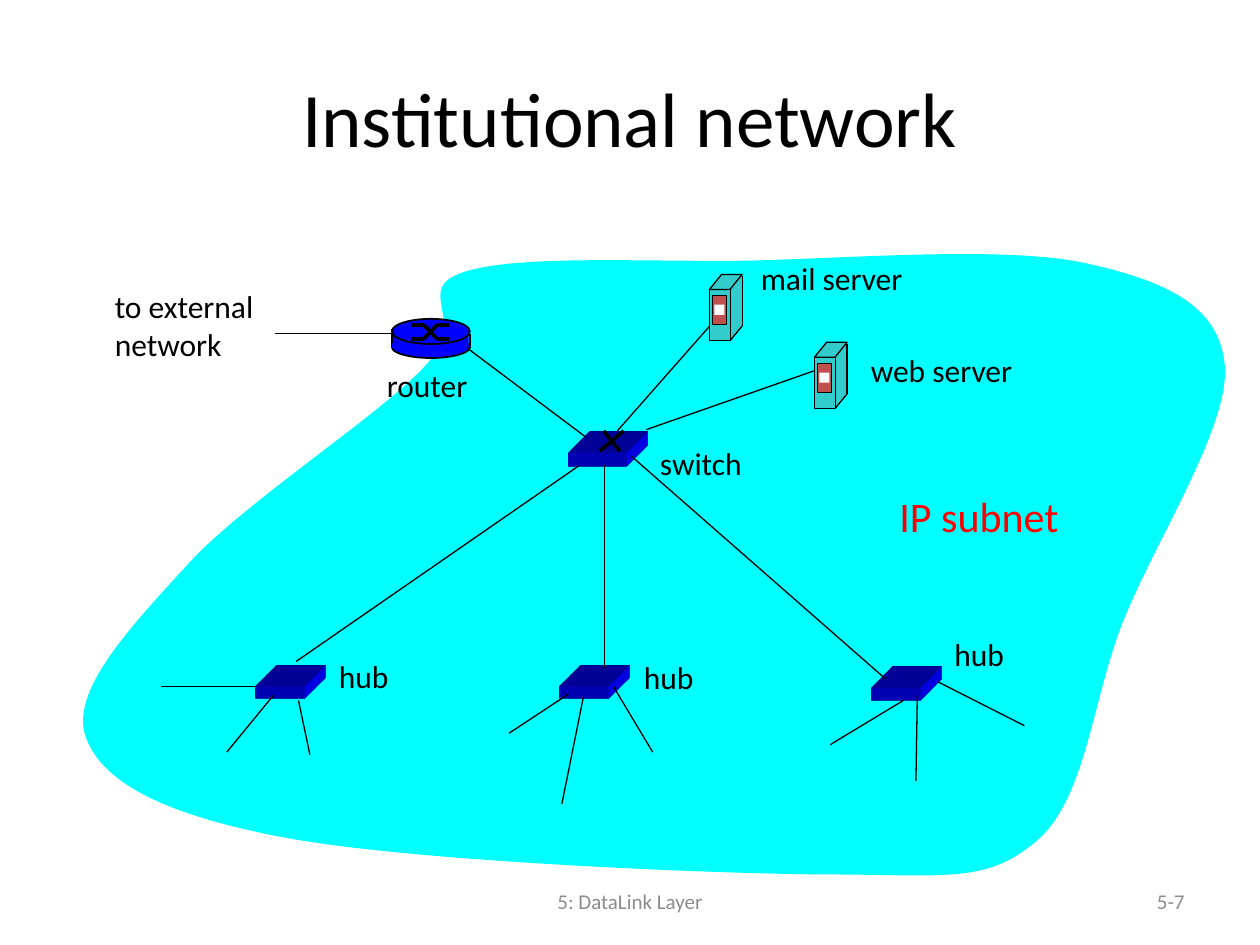
from dataclasses import dataclass
from typing import NamedTuple

from lxml.etree import SubElement
from pptx import Presentation
from pptx.dml.color import RGBColor
from pptx.enum.shapes import MSO_CONNECTOR, MSO_SHAPE
from pptx.enum.text import MSO_ANCHOR, PP_ALIGN
from pptx.oxml.ns import qn
from pptx.util import Pt


@dataclass(frozen=True)
class Theme:
    font: str = "Calibri"
    black: str = "000000"
    white: str = "FFFFFF"
    gray: str = "8C8C8C"
    red: str = "FF0000"
    subnet: str = "00FFFF"
    device: str = "0000FF"
    server: str = "33CCCC"
    panel: str = "C0504D"
    title_size: float = 44
    subnet_size: float = 24
    label_size: float = 18
    footer_size: float = 12
    thin: float = 0.75
    outline: float = 1
    switch_mark: float = 2
    router_mark: float = 2.25


THEME = Theme()


class Label(NamedTuple):
    text: str
    left: float
    top: float
    width: float
    height: float = 28.8
    size: float = THEME.label_size
    color: str = THEME.black
    align: PP_ALIGN = PP_ALIGN.LEFT
    anchor: MSO_ANCHOR = MSO_ANCHOR.TOP


class Line(NamedTuple):
    x1: float
    y1: float
    x2: float
    y2: float


class Box(NamedTuple):
    left: float
    top: float
    width: float
    height: float


def paint(shape, fill: str, line_width: float = 0) -> None:
    shape.shadow.inherit = False
    shape.fill.solid()
    shape.fill.fore_color.rgb = RGBColor.from_string(fill)
    if line_width:
        shape.line.color.rgb = RGBColor.from_string(THEME.black)
        shape.line.width = Pt(line_width)
    else:
        shape.line.fill.background()


def add_preset(slide, kind, box: Box, fill: str, line_width: float = 0):
    shape = slide.shapes.add_shape(kind, *(Pt(value) for value in box))
    paint(shape, fill, line_width)
    return shape


def add_line(slide, line: Line, width: float = THEME.thin) -> None:
    connector = slide.shapes.add_connector(MSO_CONNECTOR.STRAIGHT, *(Pt(value) for value in line))
    connector.line.color.rgb = RGBColor.from_string(THEME.black)
    connector.line.width = Pt(width)
    SubElement(connector._element.spPr, qn("a:effectLst"))


def add_label(slide, label: Label) -> None:
    shape = slide.shapes.add_textbox(Pt(label.left), Pt(label.top), Pt(label.width), Pt(label.height))
    frame = shape.text_frame
    frame.word_wrap = True
    frame.vertical_anchor = label.anchor
    frame.text = label.text
    for paragraph in frame.paragraphs:
        paragraph.alignment = label.align
        paragraph.font.name = THEME.font
        paragraph.font.size = Pt(label.size)
        paragraph.font.color.rgb = RGBColor.from_string(label.color)


def add_subnet(slide, start: tuple, curves: list) -> None:
    """Join the curve ends by segments, then turn each segment into a Bézier curve."""
    builder = slide.shapes.build_freeform(Pt(start[0]), Pt(start[1]), scale=1.0)
    builder.add_line_segments([(Pt(curve[4]), Pt(curve[5])) for curve in curves], close=True)
    shape = builder.convert_to_shape()
    paint(shape, THEME.subnet)
    for segment, curve in zip(list(shape._element.iter(qn("a:lnTo"))), curves):
        segment.tag = qn("a:cubicBezTo")
        segment.clear()
        for x, y in zip(curve[::2], curve[1::2]):
            SubElement(segment, qn("a:pt"), x=str(Pt(x) - shape.left), y=str(Pt(y) - shape.top))


def add_raised_box(slide, front: Box) -> None:
    """Draw a flat front extruded towards the upper right."""
    properties = add_preset(slide, MSO_SHAPE.RECTANGLE, front, THEME.device)._element.spPr
    scene = SubElement(properties, qn("a:scene3d"))
    SubElement(scene, qn("a:camera"), prst="legacyObliqueTopRight")
    SubElement(scene, qn("a:lightRig"), rig="legacyFlat3", dir="b")
    solid = SubElement(properties, qn("a:sp3d"), extrusionH="430200", prstMaterial="legacyMatte")
    for bevel in ("a:bevelT", "a:bevelB"):
        SubElement(solid, qn(bevel), w="13500", h="13500", prst="angle")
    color = SubElement(solid, qn("a:extrusionClr"))
    SubElement(color, qn("a:srgbClr"), val=THEME.device)


def add_server(slide, x: float, y: float) -> None:
    slanted, rectangle = MSO_SHAPE.PARALLELOGRAM, MSO_SHAPE.RECTANGLE
    parts = [
        (slanted, Box(0, 29.5, 18.7, 8.4), THEME.server, 0),
        (rectangle, Box(9.5, 0, 9, 29.5), THEME.server, 0),
        (rectangle, Box(0.2, 8.6, 11.8, 29.2), THEME.server, THEME.thin),
        (slanted, Box(0, 0, 18.7, 8.6), THEME.server, THEME.thin),
        (rectangle, Box(1.7, 12.2, 8, 16.4), THEME.panel, THEME.thin),
        (rectangle, Box(2.8, 17.3, 5.8, 5.8), THEME.white, 0),
    ]
    for kind, box, fill, line_width in parts:
        moved = box._replace(left=x + box.left, top=y + box.top)
        shape = add_preset(slide, kind, moved, fill, line_width)
        if kind == slanted:
            shape.adjustments[0] = 0.81
    add_line(slide, Line(x + 18.7, y + 0.7, x + 18.7, y + 29.5))
    add_line(slide, Line(x + 18.7, y + 29.5, x + 12, y + 37.6))


def add_router(slide, x: float, y: float) -> None:
    width = 44.6
    add_preset(slide, MSO_SHAPE.OVAL, Box(x, y + 10, width, 12.4), THEME.device, THEME.outline)
    for side in (x, x + width):
        add_line(slide, Line(side, y + 8.6, side, y + 16.6), THEME.outline)
    add_preset(slide, MSO_SHAPE.RECTANGLE, Box(x, y + 8.6, 44, 8), THEME.device)
    add_preset(slide, MSO_SHAPE.OVAL, Box(x, y, width, 14.4), THEME.device, THEME.outline)
    # Crossed arms on the lid
    upper, lower = y + 3.3, y + 11.5
    for start, end in ((upper, lower), (lower, upper)):
        add_line(slide, Line(x + 10.8, start, x + 18.4, start), THEME.router_mark)
        add_line(slide, Line(x + 18.2, start, x + 26, end), THEME.router_mark)
        add_line(slide, Line(x + 26, end, x + 32.6, end), THEME.router_mark)
    add_line(slide, Line(x, y + 5.8, x, y + 13.7), THEME.outline)


SUBNET_START = (699.8, 208.1)
SUBNET_CURVES = [
    (696.2, 174.2, 666, 160.6, 620.6, 150.5),
    (575.3, 140.4, 486, 147.6, 427, 149),
    (367.9, 149.8, 295.9, 145.4, 265, 155.5),
    (234.7, 165.6, 269.3, 181.4, 242.6, 209.5),
    (216.7, 237.6, 138.2, 288, 106.6, 323.3),
    (74.2, 358.6, 39.6, 395.3, 49, 421.2),
    (58.3, 447.1, 93.6, 465.8, 163.4, 478.8),
    (233.3, 491.8, 396.7, 499, 468, 499.7),
    (540, 499.7, 563, 505.4, 591.8, 481),
    (621.4, 456.5, 624.2, 396.7, 643, 352.1),
    (661.7, 306.7, 703.4, 241.9, *SUBNET_START),
]
HUBS = [(319.7, 392.2), (498.2, 393.1), (146.1, 392.2)]
HUB_SPOKES = [
    Line(146.2, 392.4, 92.2, 392.4), Line(156.2, 397.4, 129.6, 429.8), Line(170.6, 400.3, 177.1, 431.3),
    Line(324.7, 396.7, 290.9, 419), Line(333.4, 398.2, 321.1, 459.4), Line(350.6, 392.4, 373, 429.8),
    Line(516.2, 400.3, 474.5, 425.5), Line(524.2, 397.4, 523.4, 446.4), Line(535.7, 389.5, 585.4, 414.7),
]
SWITCH_MARK = [Line(345, 246.2, 354.2, 257.8), Line(356.4, 246.2, 342.7, 257.8)]
HUB_LINKS = [
    Line(330.5, 266.4, 169.2, 378), Line(345.6, 265.7, 345.6, 381.6), Line(506.2, 388.1, 360.7, 260.6),
]
SERVER_LINKS = [Line(369.4, 245.5, 465.8, 211.7), Line(352.8, 246.2, 405.4, 186.5)]
ROUTER_LINKS = [Line(266.7, 198.7, 334.8, 249.8), Line(223.9, 190.6, 157, 190.6)]
HEADINGS = [
    Label("5: DataLink Layer", 246, 500.4, 228, 28.8, THEME.footer_size, THEME.gray,
          PP_ALIGN.CENTER, MSO_ANCHOR.MIDDLE),
    Label("5-7", 516, 500.4, 168, 28.8, THEME.footer_size, THEME.gray,
          PP_ALIGN.RIGHT, MSO_ANCHOR.MIDDLE),
    Label("Institutional network", 36, 21.6, 648, 90, THEME.title_size,
          align=PP_ALIGN.CENTER, anchor=MSO_ANCHOR.MIDDLE),
]
LABELS = [
    Label("hub", 186.5, 371.8, 44.6),
    Label("hub", 360.8, 372.6, 44.6),
    Label("hub", 538.3, 359.3, 44.6),
    Label("switch", 370, 250.2, 68.4),
    Label("to external\nnetwork", 58.5, 160.6, 108.7, 50.4),
    Label("router", 214, 205.5, 69.1),
    Label("IP subnet", 506.9, 276.9, 122.4, 36, THEME.subnet_size, THEME.red),
    Label("mail server", 427.7, 144.7, 107.3),
    Label("web server", 490.5, 197.3, 107.3),
]


def main() -> None:
    presentation = Presentation()
    presentation.slide_width, presentation.slide_height = Pt(720), Pt(540)
    slide = presentation.slides.add_slide(presentation.slide_layouts[6])

    # Footer, subnet area and title
    for label in HEADINGS[:2]:
        add_label(slide, label)
    add_subnet(slide, SUBNET_START, SUBNET_CURVES)
    add_label(slide, HEADINGS[2])
    # Hubs and switch
    for left, top in HUBS:
        add_raised_box(slide, Box(left, top, 28, 7.2))
    for line in HUB_SPOKES:
        add_line(slide, line)
    add_raised_box(slide, Box(324.7, 258.5, 33.1, 7.9))
    for line in SWITCH_MARK:
        add_line(slide, line, THEME.switch_mark)
    # Servers, router and cabling
    for line in HUB_LINKS:
        add_line(slide, line)
    for x, y in ((465.4, 195.6), (405.4, 156.8)):
        add_server(slide, x, y)
    for line in SERVER_LINKS:
        add_line(slide, line)
    add_router(slide, 223.9, 182.2)
    for line in ROUTER_LINKS:
        add_line(slide, line)
    # Device labels
    for label in LABELS:
        add_label(slide, label)

    presentation.save("out.pptx")


if __name__ == "__main__":
    main()
